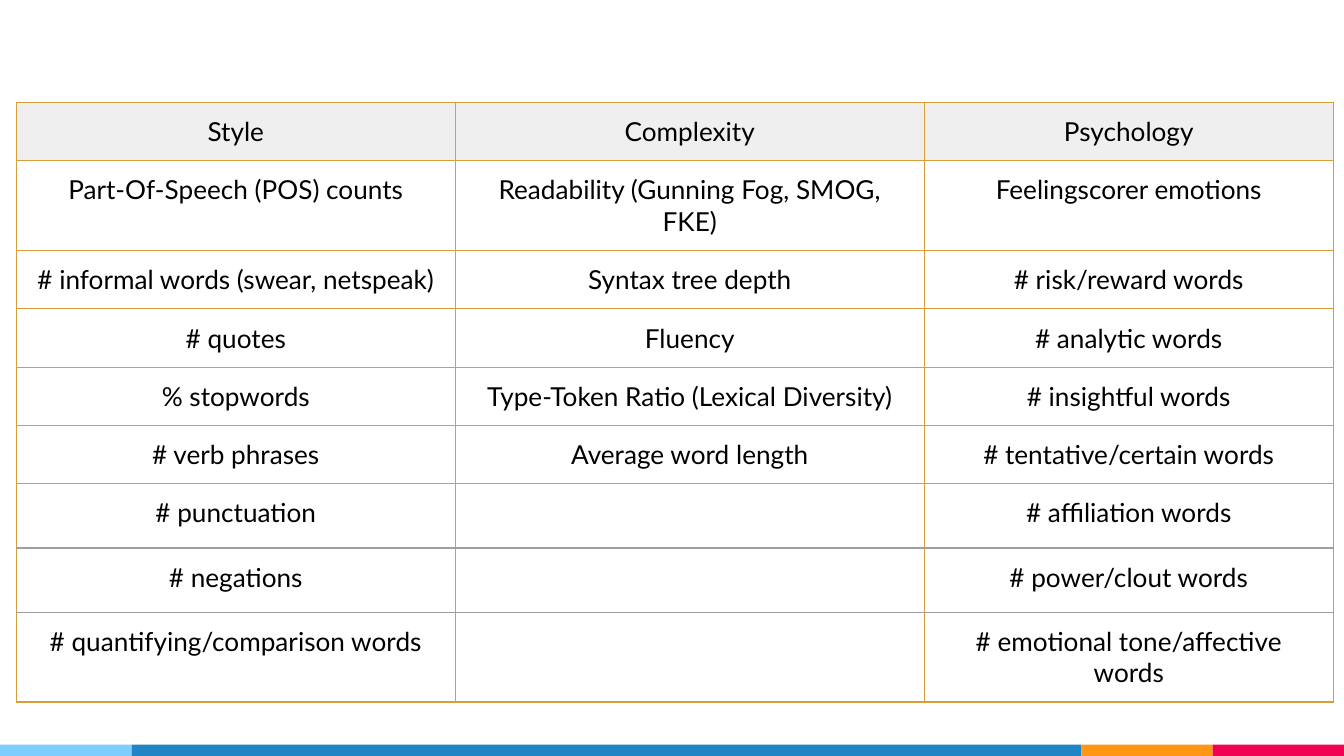
from dataclasses import dataclass
from itertools import accumulate

from lxml.etree import SubElement
from pptx import Presentation
from pptx.dml.color import RGBColor
from pptx.enum.shapes import MSO_SHAPE
from pptx.enum.text import PP_ALIGN
from pptx.oxml.ns import qn
from pptx.util import Pt


@dataclass(frozen=True)
class Theme:
    font: str = "Lato"
    size: int = 14
    text: str = "000000"
    header: str = "EFEFEF"
    border: str = "D89F39"
    soft_border: str = "9E9E9E"
    border_width: float = 0.75
    sky: str = "7ECEFD"
    blue: str = "2185C5"
    orange: str = "FF9715"
    pink: str = "F20253"


theme = Theme()

# Content
columns = {
    "Style": ["Part-Of-Speech (POS) counts", "# informal words (swear, netspeak)",
              "# quotes", "% stopwords", "# verb phrases", "# punctuation",
              "# negations", "# quantifying/comparison words"],
    "Complexity": ["Readability (Gunning Fog, SMOG, FKE)", "Syntax tree depth",
                   "Fluency", "Type-Token Ratio (Lexical Diversity)",
                   "Average word length", "", "", ""],
    "Psychology": ["Feelingscorer emotions", "# risk/reward words",
                   "# analytic words", "# insightful words",
                   "# tentative/certain words", "# affiliation words",
                   "# power/clout words", "# emotional tone/affective words"],
}
rows = list(zip(*([name, *items] for name, items in columns.items())))

# Layout, in points
slide_w, slide_h = 720, 405
table_left, table_top = 8.75, 54.8
col_widths = [235.2, 251.2, 219.2]
single, tall, double = 31.1, 34.4, 48.2
row_heights = [single, double, *[single] * 4, tall, tall, double]
soft_lines = {7, 8}  # horizontal rules, counted from the top edge
cell_margin = 7.2
bar_h = 6
bars = [(theme.sky, 70.5), (theme.blue, 508.8),
        (theme.orange, 70.4), (theme.pink, 70.3)]


def rgb(color):
    return RGBColor.from_string(color)


def set_borders(cell, row):
    tc_pr = cell._tc.get_or_add_tcPr()
    edges = {"lnL": None, "lnR": None, "lnT": row, "lnB": row + 1}
    for i, (tag, line) in enumerate(edges.items()):
        color = theme.soft_border if line in soft_lines else theme.border
        ln = SubElement(tc_pr, qn(f"a:{tag}"), w=str(Pt(theme.border_width)))
        SubElement(SubElement(ln, qn("a:solidFill")), qn("a:srgbClr"), val=color)
        tc_pr.insert(i, ln)  # borders come before the fill


def format_text(cell, text):
    cell.margin_left = cell.margin_right = Pt(cell_margin)
    cell.margin_top = cell.margin_bottom = Pt(cell_margin)
    cell.text_frame.text = text
    p = cell.text_frame.paragraphs[0]
    p.alignment = PP_ALIGN.CENTER
    font = p.runs[0].font
    font.name, font.size, font.bold = theme.font, Pt(theme.size), False
    font.color.rgb = rgb(theme.text)


prs = Presentation()
prs.slide_width, prs.slide_height = Pt(slide_w), Pt(slide_h)
s = prs.slides.add_slide(prs.slide_layouts[6])

# Footer bars
lefts = accumulate((width for _, width in bars), initial=0)
for (color, width), left in zip(bars, lefts):
    sp = s.shapes.add_shape(MSO_SHAPE.RECTANGLE, Pt(left), Pt(slide_h - bar_h),
                            Pt(width), Pt(bar_h))
    sp.shadow.inherit = False
    sp.fill.solid()
    sp.fill.fore_color.rgb = rgb(color)
    sp.line.fill.background()

# Feature table
table = s.shapes.add_table(len(rows), len(columns), Pt(table_left), Pt(table_top),
                           Pt(sum(col_widths)), Pt(sum(row_heights))).table
table.first_row = table.horz_banding = False
for col, width in zip(table.columns, col_widths):
    col.width = Pt(width)
for row, height in zip(table.rows, row_heights):
    row.height = Pt(height)
for r, texts in enumerate(rows):
    for c, text in enumerate(texts):
        cell = table.cell(r, c)
        if r == 0:
            cell.fill.solid()
            cell.fill.fore_color.rgb = rgb(theme.header)
        else:
            cell.fill.background()
        if text:
            format_text(cell, text)
        set_borders(cell, r)

prs.save("out.pptx")
